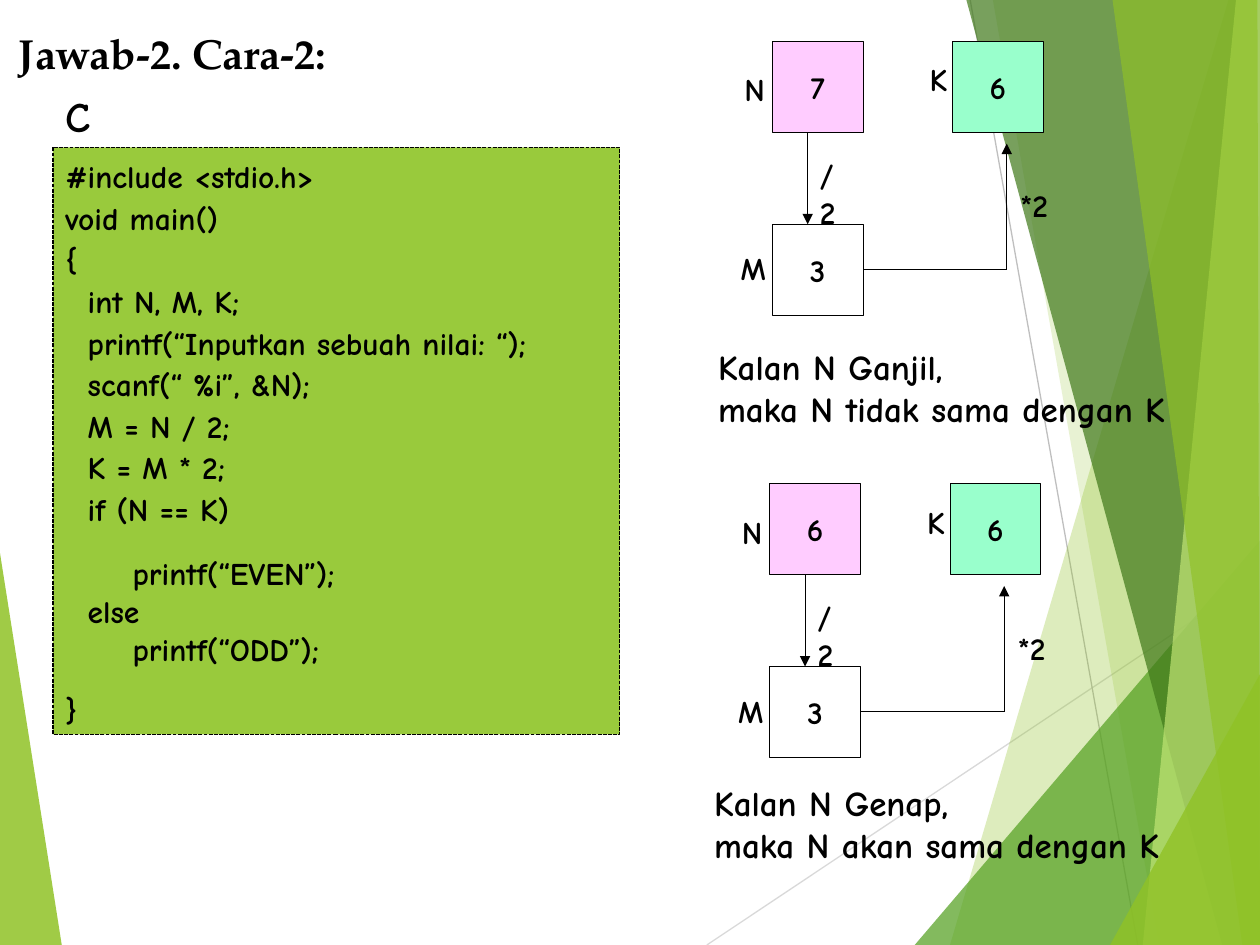
from lxml import etree
from pptx import Presentation
from pptx.dml.color import RGBColor
from pptx.enum.dml import MSO_LINE
from pptx.enum.shapes import MSO_CONNECTOR, MSO_SHAPE
from pptx.enum.text import MSO_ANCHOR, MSO_AUTO_SIZE, PP_ALIGN
from pptx.oxml.ns import qn
from pptx.util import Inches, Pt

STRAIGHT = MSO_CONNECTOR.STRAIGHT
RECTANGLE = MSO_SHAPE.RECTANGLE
DOTTED = MSO_LINE.SQUARE_DOT
MIDDLE, TOP = MSO_ANCHOR.MIDDLE, MSO_ANCHOR.TOP
CENTER, LEFT = PP_ALIGN.CENTER, PP_ALIGN.LEFT
FIT_SHAPE, NO_FIT = MSO_AUTO_SIZE.SHAPE_TO_FIT_TEXT, MSO_AUTO_SIZE.NONE
RIGHT_SIDE = 3

COLORS = {
    "ink": "000000", "pink": "FFCCFF", "mint": "99FFCC", "code": "99CA3C",
    "lime": "90C226", "green": "54A021", "forest": "3F7819", "pale": "C0E474",
    "light_gray": "D9D9D9", "gray": "BFBFBF",
}
BODY_FONT, TITLE_FONT = "Comic Neue", "TeX Gyre Pagella"
CELL = 0.72

FACETS = [
    ("lime", 30, [(9.75, 0), (7.54, 7.5), (10, 7.5), (10, 0)]),
    ("lime", 20, [(7.88, 0), (9.2, 7.5), (10, 7.5), (10, 0)]),
    ("green", 72, [(7.26, 7.5), (10, 4.29), (10, 7.5)]),
    ("forest", 70, [(7.67, 0), (9.7, 7.5), (10, 7.5), (10, 0)]),
    ("pale", 70, [(9.81, 0), (9.07, 7.5), (10, 7.5), (10, 0)]),
    ("lime", 65, [(8.83, 0), (9.86, 7.5), (10, 7.5), (9.98, 0)]),
    ("lime", 80, [(8.81, 7.5), (10, 5.35), (10, 7.5)]),
]
CODE_LINES = [
    ("#include <stdio.h>", 1.1),
    ("void main()", 1.1),
    ("{", 1.1),
    ("  int N, M, K;", 1.1),
    ("  printf(“Inputkan sebuah nilai: “);", 1.1),
    ("  scanf(“ %i”, &N);", 1.1),
    ("  M = N / 2;", 1.1),
    ("  K = M * 2;", 1.1),
    ("  if (N == K)", 1.1),
    ("      printf(“EVEN”);", 1.7),
    ("  else", 1.0),
    ("      printf(“ODD”);", 1.0),
    ("}", 1.6),
]


def rgb(name):
    """Return the named colour."""
    return RGBColor.from_string(COLORS[name])


def write_lines(shape, lines, size=18, font=BODY_FONT, align=LEFT, **frame_format):
    """Fill a shape with (text, line spacing) paragraphs."""
    frame = shape.text_frame
    for name, value in frame_format.items():
        setattr(frame, name, value)
    for index, (text, spacing) in enumerate(lines):
        paragraph = frame.paragraphs[0] if index == 0 else frame.add_paragraph()
        paragraph.text = text
        paragraph.alignment = align
        paragraph.line_spacing = spacing
        font_format = {"name": font, "size": Pt(size), "bold": True}
        for name, value in font_format.items():
            setattr(paragraph.font, name, value)
        paragraph.font.color.rgb = rgb("ink")


def add_label(slide, box, *texts, size=18, font=BODY_FONT):
    """Add an unwrapped text box with one paragraph per text."""
    shape = slide.shapes.add_textbox(*map(Inches, box))
    write_lines(shape, [(text, 1.0) for text in texts], size, font,
                word_wrap=False, auto_size=FIT_SHAPE)


def add_box(slide, box, fill, width):
    """Add an outlined rectangle, hollow when fill is None."""
    shape = slide.shapes.add_shape(RECTANGLE, *map(Inches, box))
    shape.shadow.inherit = False
    if fill:
        shape.fill.solid()
        shape.fill.fore_color.rgb = rgb(fill)
    else:
        shape.fill.background()
    shape.line.color.rgb = rgb("ink")
    shape.line.width = Pt(width)
    return shape


def add_line(slide, start, end, color="ink", width=0.5, arrow=False):
    """Add a straight connector, with an arrowhead at its end if asked."""
    line = slide.shapes.add_connector(STRAIGHT, *map(Inches, start + end))
    line.line.color.rgb = rgb(color)
    line.line.width = Pt(width)
    if arrow:
        etree.SubElement(line.line._get_or_add_ln(), qn("a:tailEnd"), type="triangle")
    etree.SubElement(line._element.spPr, qn("a:effectLst"))
    return line


def add_facet(slide, color, opacity, points):
    """Add a translucent polygon."""
    corners = [tuple(map(Inches, point)) for point in points]
    builder = slide.shapes.build_freeform(*corners[0])
    builder.add_line_segments(corners[1:])
    shape = builder.convert_to_shape()
    shape.shadow.inherit = False
    shape.fill.solid()
    shape.fill.fore_color.rgb = rgb(color)
    shape.line.fill.background()
    color_element = shape._element.spPr.find(".//" + qn("a:srgbClr"))
    etree.SubElement(color_element, qn("a:alpha"), val=str(opacity * 1000))


def add_backdrop(slide):
    """Draw the green facets and thin lines behind the content."""
    add_facet(slide, "lime", 85, [(0, 4.39), (0.49, 7.5), (0, 7.5)])
    add_line(slide, (5.61, 7.5), (10, 4.57), "light_gray", 0.75)
    add_line(slide, (7.7, 0), (9.03, 7.5), "gray", 0.75)
    for facet in FACETS:
        add_facet(slide, *facet)


def add_diagram(slide, left, top, n_value, m_value, k_value):
    """Draw the N to M to K flow from its top left corner."""
    cells = [
        (n_value, 0.35, 0, "pink"),
        (k_value, 1.78, 0, "mint"),
        (m_value, 0.35, 1.45, None),
    ]
    for value, x, y, fill in cells:
        cell = add_box(slide, (left + x, top + y, CELL, CELL), fill, 0.5)
        write_lines(cell, [(value, 1.0)], align=CENTER, word_wrap=False,
                    vertical_anchor=MIDDLE, auto_size=NO_FIT)
    labels = [
        ("N", 0.03, 0.18, 0.36), ("M", 0, 1.6, 0.4), ("K", 1.5, 0.1, 0.34),
        ("/2", 0.63, 0.85, 0.43), ("*2", 2.22, 1.1, 0.42),
    ]
    for text, x, y, width in labels:
        add_label(slide, (left + x, top + y, width, 0.4), text)
    halving_x, elbow = left + 0.63, (left + 2.21, top + 1.45 + CELL / 2)
    add_line(slide, (halving_x, top + CELL), (halving_x, top + 1.45), arrow=True)
    link = add_line(slide, (left + 0.35 + CELL, elbow[1]), elbow)
    link.begin_connect(cell, RIGHT_SIDE)
    add_line(slide, elbow, (elbow[0], top + 0.81), arrow=True)


def add_code_panel(slide, left, top, width, height):
    """Draw the language heading and the listing below it."""
    add_label(slide, (left, top, 0.4, 0.5), "C", size=24)
    panel = add_box(slide, (left, top + 0.5, width, height - 0.5), "code", 0.75)
    panel.line.dash_style = DOTTED
    write_lines(panel, CODE_LINES, word_wrap=True, vertical_anchor=TOP,
                auto_size=FIT_SHAPE)


def main():
    """Build and save the slide."""
    presentation = Presentation()
    presentation.slide_width, presentation.slide_height = Inches(10), Inches(7.5)
    slide = presentation.slides.add_slide(presentation.slide_layouts[6])
    add_backdrop(slide)
    add_label(slide, (0.05, 0.17, 2.89, 0.5), "Jawab-2. Cara-2:",
              size=24, font=TITLE_FONT)
    add_code_panel(slide, 0.42, 0.67, 4.5, 5.16)
    add_diagram(slide, 5.78, 0.33, "7", "3", "6")
    add_label(slide, (5.6, 2.69, 3.75, 0.77), "Kalan N Ganjil,",
              "maka N tidak sama dengan K", size=20)
    add_diagram(slide, 5.76, 3.84, "6", "3", "6")
    add_label(slide, (5.57, 6.15, 3.74, 0.77), "Kalan N Genap,",
              "maka N akan sama dengan K", size=20)
    presentation.save("out.pptx")


if __name__ == "__main__":
    main()
